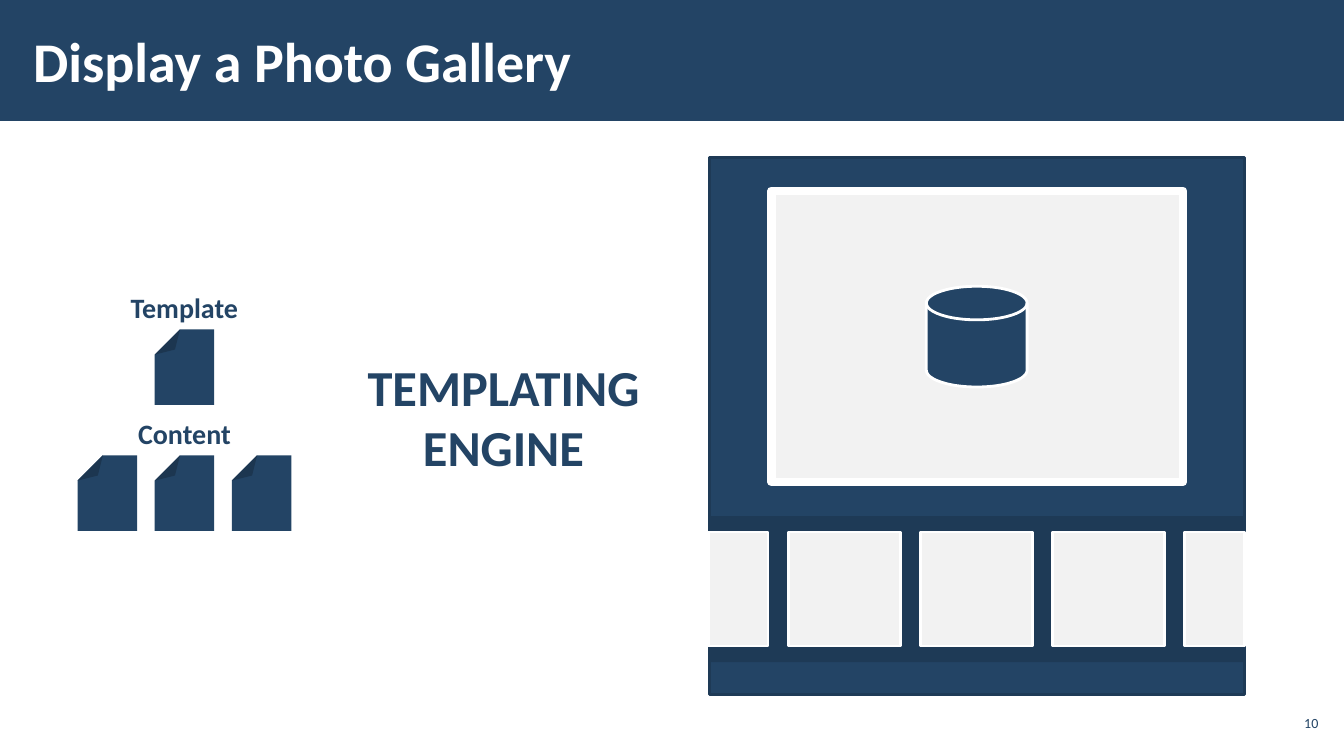
from lxml import etree
from pptx import Presentation
from pptx.dml.color import RGBColor
from pptx.enum.shapes import MSO_SHAPE
from pptx.enum.text import MSO_ANCHOR, PP_ALIGN
from pptx.oxml.ns import qn
from pptx.util import Pt

RECT = MSO_SHAPE.RECTANGLE
PAGE = MSO_SHAPE.FOLDED_CORNER
DISK = MSO_SHAPE.FLOWCHART_MAGNETIC_DISK
LEFT, MID, RIGHT = PP_ALIGN.LEFT, PP_ALIGN.CENTER, PP_ALIGN.RIGHT
TOP, CENTER = MSO_ANCHOR.TOP, MSO_ANCHOR.MIDDLE

COLORS = {"navy": "234465", "dark": "1E3A56", "pale": "F2F2F2", "white": "FFFFFF"}
FONT = "Calibri"
WIDE, HIGH = 960, 540

TITLE = "Display a Photo Gallery"
ENGINE = "TEMPLATING ENGINE"
NUMBER = "10"
GROUPS = [("Template", 1, 203.7), ("Content", 3, 293.7)]

PAGE_W, PAGE_H, PAGE_STEP = 42.5, 54, 55.1
PAGE_MID = 131.75
FOLD = 42500
LABEL_W, LABEL_H = 102, 31.5

FRAME = (506.6, 112.3, 382.5, 384)
PHOTO = (551, 136.3, 294, 208)
DISC = (661.7, 204.5, 72, 72)
STRIP = (506.2, 368.6, 382.5, 104.4)
TILE_Y, TILE_W, TILE_H = 380, 80, 81.4
TILE_STEP, TILE_COUNT = 94.4, 5

prs = Presentation()
prs.slide_width, prs.slide_height = Pt(WIDE), Pt(HIGH)
slide = prs.slides.add_slide(prs.slide_layouts[5])


def tint(name):
    return RGBColor.from_string(COLORS[name])


def place(shape, box):
    shape.left, shape.top, shape.width, shape.height = map(Pt, box)


def draw(kind, box, fill, line=None, width=2):
    shape = slide.shapes.add_shape(kind, *map(Pt, box))
    shape.shadow.inherit = False
    shape.fill.solid()
    shape.fill.fore_color.rgb = tint(fill)
    if line:
        shape.line.color.rgb = tint(line)
        shape.line.width = Pt(width)
    else:
        shape.line.fill.background()
    return shape


def fold(shape):
    geom = next(shape.element.iter(qn("a:prstGeom")))
    for old in list(geom):
        geom.remove(old)
    guides = etree.SubElement(geom, qn("a:avLst"))
    etree.SubElement(guides, qn("a:gd"), name="adj", fmla=f"val {FOLD}")


def write(shape, text, size, color="navy", bold=True, align=MID, anchor=TOP, pad=(7.2, 3.6)):
    frame = shape.text_frame
    frame.word_wrap = True
    frame.vertical_anchor = anchor
    frame.margin_left = frame.margin_right = Pt(pad[0])
    frame.margin_top = frame.margin_bottom = Pt(pad[1])
    para = frame.paragraphs[0]
    para.alignment = align
    run = para.add_run()
    run.text = text
    font = run.font
    font.name, font.size, font.bold = FONT, Pt(size), bold
    font.color.rgb = tint(color)


def label(box, text, size, **style):
    write(slide.shapes.add_textbox(*map(Pt, box)), text, size, **style)


def main():
    title = slide.shapes.title
    place(title, (15, 8, 748, 70))
    write(title, TITLE, 40, "white", align=LEFT, anchor=CENTER, pad=(8.64, 2.88))
    band = draw(RECT, (0, 0, WIDE, 86.4), "navy")
    title.element.addprevious(band.element)

    for name, count, top in GROUPS:
        label((PAGE_MID - LABEL_W / 2, top, LABEL_W, LABEL_H), name, 20)
        for i in range(count):
            left = PAGE_MID + (i - (count - 1) / 2) * PAGE_STEP - PAGE_W / 2
            page = draw(PAGE, (left, top + LABEL_H, PAGE_W, PAGE_H), "navy")
            page.rotation = 180
            fold(page)

    label((254.2, 250.6, 211, 94.5), ENGINE, 36)
    label((910.8, 504, 33.8, 24.5), NUMBER, 10, bold=False, align=RIGHT,
          anchor=CENTER, pad=(2.88, 2.88))

    draw(RECT, FRAME, "navy", "dark")
    draw(RECT, PHOTO, "pale", "white", 6)
    draw(DISK, DISC, "navy", "white")
    draw(RECT, STRIP, "dark")

    start, end = STRIP[0], STRIP[0] + STRIP[2]
    center = (start + end) / 2
    for i in range(TILE_COUNT):
        left = center + (i - TILE_COUNT // 2) * TILE_STEP - TILE_W / 2
        near, far = max(left, start), min(left + TILE_W, end)
        draw(RECT, (near, TILE_Y, far - near, TILE_H), "pale", "white")

    prs.save("out.pptx")


if __name__ == "__main__":
    main()
